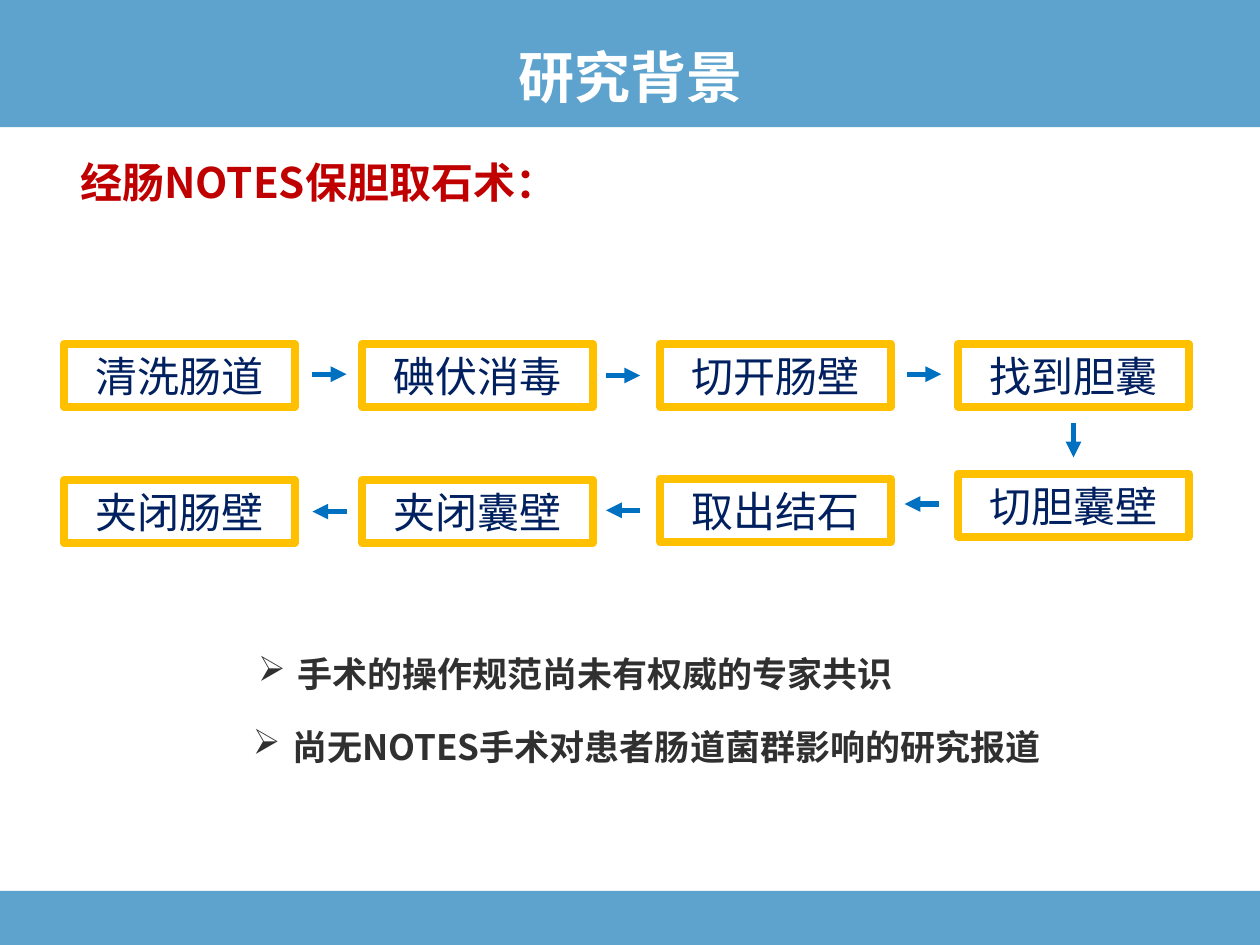
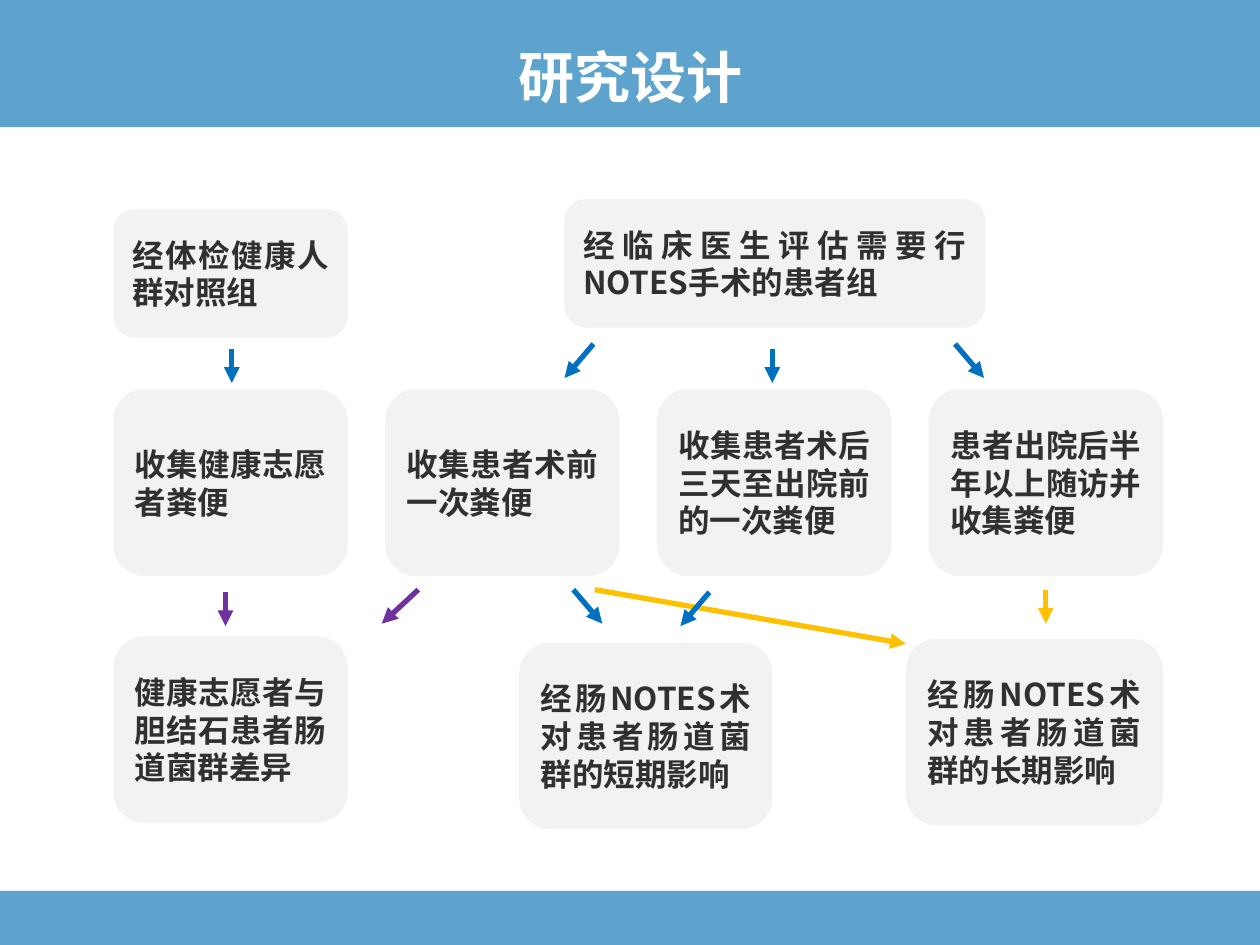
from lxml import etree
from pptx import Presentation
from pptx.dml.color import RGBColor
from pptx.enum.shapes import MSO_CONNECTOR, MSO_SHAPE
from pptx.enum.text import MSO_ANCHOR, PP_ALIGN
from pptx.oxml.ns import qn
from pptx.util import Inches, Pt

RECT, ROUNDED = MSO_SHAPE.RECTANGLE, MSO_SHAPE.ROUNDED_RECTANGLE
TOP, MIDDLE, BOTTOM = MSO_ANCHOR.TOP, MSO_ANCHOR.MIDDLE, MSO_ANCHOR.BOTTOM
LEFT, CENTER, JUSTIFY = PP_ALIGN.LEFT, PP_ALIGN.CENTER, PP_ALIGN.JUSTIFY
STRAIGHT = MSO_CONNECTOR.STRAIGHT

BODY_FONT, TITLE_FONT = "Noto Sans CJK SC", "Roboto"
BAND, WHITE, RED, NAVY, INK = "5DA3CD", "FFFFFF", "C00000", "002060", "303030"
BLUE, GOLD, PURPLE, PALE = "0070C0", "FFC000", "7030A0", "F2F2F2"
WIDTH, HEIGHT = 10, 7.5

rgb = RGBColor.from_string


def add_block(slide, place, text="", preset=None, fill=None, outline=None, size=18,
              color=INK, bold=True, font=BODY_FONT, align=LEFT, anchor=MIDDLE,
              spacing=None, bullet=None):
    """Add a preset shape, or a text box when no preset is given."""
    place = [Inches(length) for length in place]
    if preset is None:
        block = slide.shapes.add_textbox(*place)
    else:
        block = slide.shapes.add_shape(preset, *place)
        block.shadow.inherit = False
        if fill:
            block.fill.solid()
            block.fill.fore_color.rgb = rgb(fill)
        else:
            block.fill.background()
        if outline:
            block.line.color.rgb = rgb(outline)
            block.line.width = Pt(4.5)
        else:
            block.line.fill.background()
    if not text:
        return
    frame = block.text_frame
    frame.word_wrap = True
    frame.vertical_anchor = anchor
    paragraph = frame.paragraphs[0]
    paragraph.text = text
    paragraph.alignment = align
    if spacing:
        paragraph.line_spacing = spacing
    properties = paragraph._p.get_or_add_pPr()
    if bullet:
        properties.set("marL", str(Inches(0.31)))
        properties.set("indent", str(-Inches(0.31)))
        bullet_color = etree.SubElement(properties, qn("a:buClr"))
        etree.SubElement(bullet_color, qn("a:srgbClr"), val=color)
        etree.SubElement(properties, qn("a:buChar"), char=bullet)
    paragraph.font.name = font
    paragraph.font.size = Pt(size)
    paragraph.font.bold = bold
    paragraph.font.color.rgb = rgb(color)
    etree.SubElement(properties.find(qn("a:defRPr")), qn("a:ea"), typeface=font)


def add_arrow(slide, x1, y1, x2, y2, color=BLUE):
    arrow = slide.shapes.add_connector(STRAIGHT, *map(Inches, (x1, y1, x2, y2)))
    arrow.line.color.rgb = rgb(color)
    arrow.line.width = Pt(3)
    etree.SubElement(arrow.line._get_or_add_ln(), qn("a:tailEnd"), type="triangle")
    etree.SubElement(arrow._element.spPr, qn("a:effectLst"))


deck = Presentation()
deck.slide_width, deck.slide_height = Inches(WIDTH), Inches(HEIGHT)

# Bands and title shared by both slides
slides = []
for title in ("研究背景", "研究设计"):
    slide = deck.slides.add_slide(deck.slide_layouts[6])
    add_block(slide, (0, 0, WIDTH, 1.01), preset=RECT, fill=BAND)
    add_block(slide, (0, 7.07, WIDTH, 0.43), preset=RECT, fill=BAND)
    add_block(slide, (0.47, 0.1, 9.07, 0.83), title, size=32, color=WHITE,
              font=TITLE_FONT, align=CENTER, anchor=BOTTOM, spacing=0.9)
    slides.append(slide)
background, design = slides

# Research background: steps run right, then down, then back left
add_block(background, (0.54, 1.19, 8.82, 0.51), "经肠NOTES保胆取石术：",
          size=24, color=RED, anchor=TOP, spacing=Pt(29))

STEP_LEFT, STEP_PITCH, STEP_WIDTH, STEP_HEIGHT = 0.51, 2.365, 1.83, 0.5
step_rows = [
    (("清洗肠道", 2.73), ("碘伏消毒", 2.73), ("切开肠壁", 2.73), ("找到胆囊", 2.73)),
    (("夹闭肠壁", 3.81), ("夹闭囊壁", 3.81), ("取出结石", 3.8), ("切胆囊壁", 3.76)),
]
for steps in step_rows:
    for column, (step, top) in enumerate(steps):
        add_block(background,
                  (STEP_LEFT + column * STEP_PITCH, top, STEP_WIDTH, STEP_HEIGHT),
                  step, RECT, outline=GOLD, size=24, color=NAVY, bold=False, align=CENTER)

ARROW = 0.27
for left, y in ((2.48, 2.97), (4.81, 2.98), (7.2, 2.97)):
    add_arrow(background, left, y, left + ARROW, y)
for left, y in ((2.48, 4.06), (4.81, 4.05), (7.18, 4)):
    add_arrow(background, left + ARROW, y, left, y)
add_arrow(background, 8.52, 3.36, 8.52, 3.36 + ARROW)

for left, top, finding in ((1.95, 5.13, "手术的操作规范尚未有权威的专家共识"),
                           (1.91, 5.71, "尚无NOTES手术对患者肠道菌群影响的研究报道")):
    add_block(background, (left, top, 6.57, 0.44), finding, size=20, anchor=TOP,
              bullet="➢")

# Research design: groups, samples, comparisons
add_arrow(design, 4.72, 4.68, 7.19, 5.11, GOLD)

GROUP_HEIGHT, CARD_HEIGHT = 1.02, 1.48
CARD_LEFT, CARD_PITCH, CARD_WIDTH = 0.9, 2.157, 1.86
cards = [
    (CARD_LEFT, 1.66, CARD_WIDTH, GROUP_HEIGHT, "经体检健康人群对照组"),
    (4.48, 1.58, 3.34, GROUP_HEIGHT, "经临床医生评估需要行NOTES手术的患者组"),
    (CARD_LEFT, 5.05, CARD_WIDTH, CARD_HEIGHT, "健康志愿者与胆结石患者肠道菌群差异"),
    (4.12, 5.1, 2.01, CARD_HEIGHT, "经肠NOTES术对患者肠道菌群的短期影响"),
    (7.19, 5.07, 2.04, CARD_HEIGHT, "经肠NOTES术对患者肠道菌群的长期影响"),
]
samples = ("收集健康志愿者粪便", "收集患者术前一次粪便",
           "收集患者术后三天至出院前的一次粪便", "患者出院后半年以上随访并收集粪便")
for column, sample in enumerate(samples):
    cards.append((CARD_LEFT + column * CARD_PITCH, 3.09, CARD_WIDTH, CARD_HEIGHT, sample))
for *place, text in cards:
    add_block(design, place, text, ROUNDED, fill=PALE, align=JUSTIFY)

for x, y, shift, color in (
    (1.84, 2.77, 0, BLUE), (4.71, 2.73, -0.23, BLUE),
    (6.13, 2.77, 0, BLUE), (7.58, 2.73, 0.23, BLUE),
    (1.79, 4.7, 0, PURPLE), (3.32, 4.68, -0.29, PURPLE),
    (4.55, 4.68, 0.23, BLUE), (5.63, 4.7, -0.23, BLUE), (8.3, 4.68, 0, GOLD),
):
    add_arrow(design, x, y, x + shift, y + ARROW, color)

deck.save("out.pptx")
